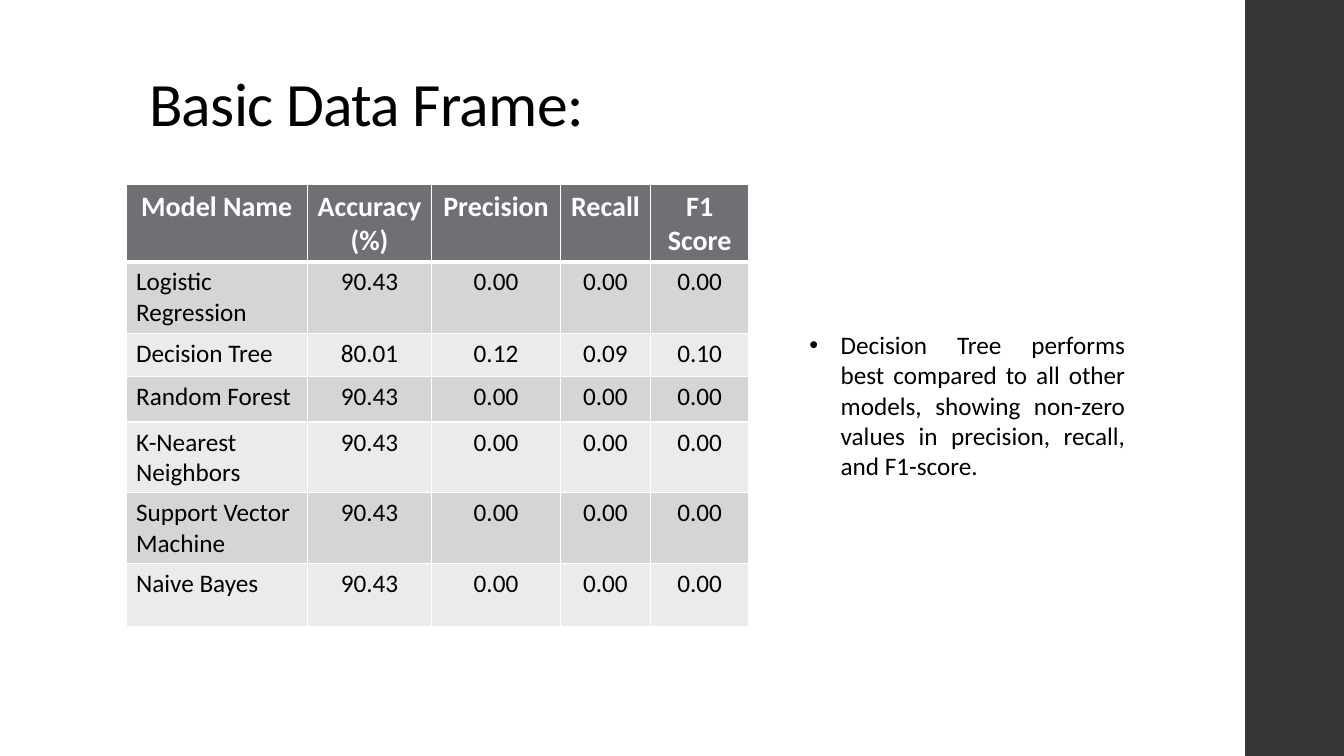
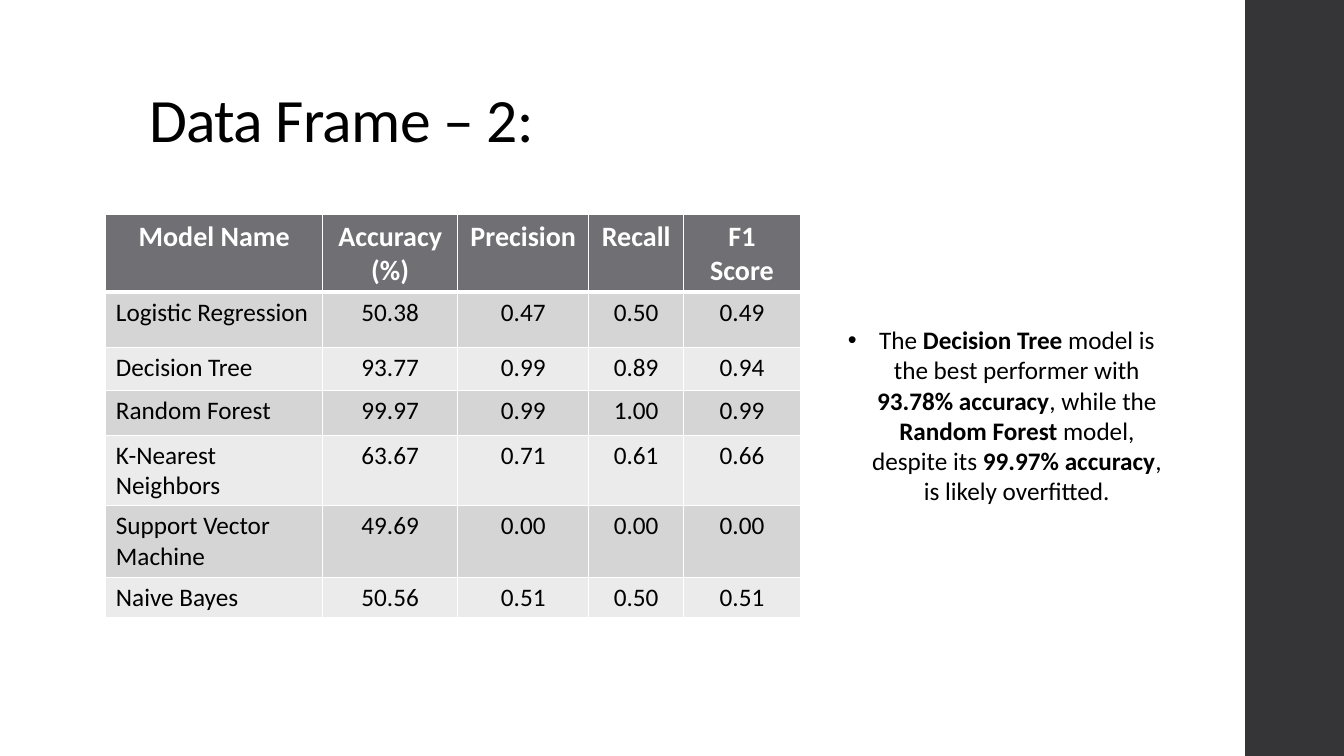
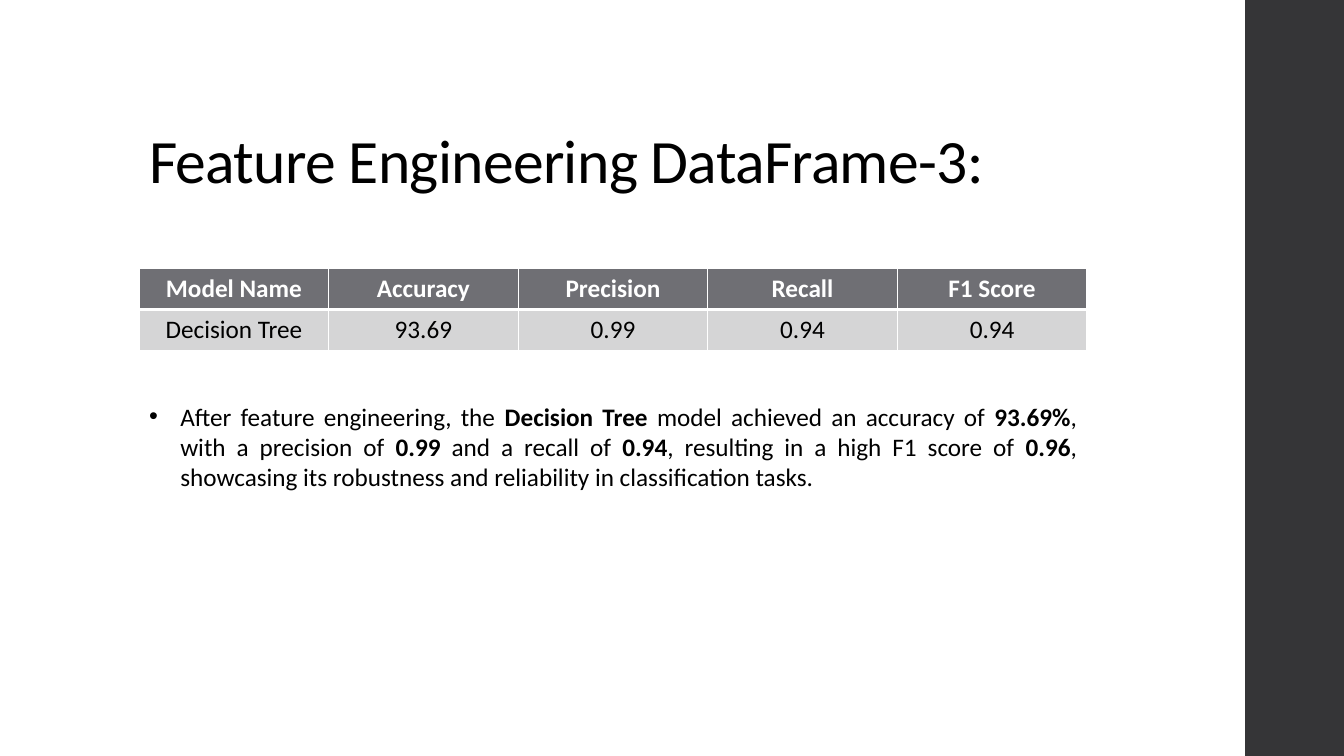
from lxml.etree import SubElement
from pptx import Presentation
from pptx.dml.color import RGBColor
from pptx.enum.shapes import MSO_SHAPE
from pptx.enum.text import MSO_ANCHOR, MSO_AUTO_SIZE, PP_ALIGN
from pptx.oxml.ns import qn
from pptx.util import Inches, Pt

# Shared look
FONT = "Calibri"
BLACK = RGBColor(0x00, 0x00, 0x00)
WHITE = RGBColor(0xFF, 0xFF, 0xFF)
BAND = RGBColor(0x35, 0x35, 0x37)
HEADER = RGBColor(0x6F, 0x6F, 0x74)
ROW_FILLS = (RGBColor(0xD5, 0xD5, 0xD6), RGBColor(0xEB, 0xEB, 0xEB))
PAGE_WIDTH, PAGE_HEIGHT = 13.33, 7.5
BAND_LEFT = 12.35
TITLE_LEFT, TITLE_TOP = 1.38, 0.4
BODY_SIZE = 18
INDENT = 0.31

# Table contents
MODELS = ["Logistic Regression", "Decision Tree", "Random Forest",
          "K-Nearest Neighbors", "Support Vector Machine", "Naive Bayes"]
HEADINGS = ["Model Name", "Accuracy (%)", "Precision", "Recall", "F1 Score"]
NO_HITS = ["90.43", "0.00", "0.00", "0.00"]
BASIC_SCORES = [NO_HITS, ["80.01", "0.12", "0.09", "0.10"]] + [NO_HITS] * 4
SECOND_SCORES = [
    ["50.38", "0.47", "0.50", "0.49"],
    ["93.77", "0.99", "0.89", "0.94"],
    ["99.97", "0.99", "1.00", "0.99"],
    ["63.67", "0.71", "0.61", "0.66"],
    ["49.69", "0.00", "0.00", "0.00"],
    ["50.56", "0.51", "0.50", "0.51"],
]


def style_span(span, size, color=BLACK, bold=False):
    span.font.name = FONT
    span.font.size = Pt(size)
    span.font.color.rgb = color
    span.font.bold = bold


def add_text_box(page, box):
    frame = page.shapes.add_textbox(*map(Inches, box)).text_frame
    frame.word_wrap = True
    return frame


def add_page(deck, title, title_width, title_height):
    """Blank page with the side band and a bottom-anchored title."""
    page = deck.slides.add_slide(deck.slide_layouts[6])
    band = page.shapes.add_shape(
        MSO_SHAPE.RECTANGLE, Inches(BAND_LEFT), 0,
        Inches(PAGE_WIDTH - BAND_LEFT), Inches(PAGE_HEIGHT))
    band.shadow.inherit = False
    band.fill.solid()
    band.fill.fore_color.rgb = BAND
    band.line.fill.background()

    frame = add_text_box(page, (TITLE_LEFT, TITLE_TOP, title_width, title_height))
    frame.vertical_anchor = MSO_ANCHOR.BOTTOM
    para = frame.paragraphs[0]
    para.text = title
    para.line_spacing = 0.9
    span = para.runs[0]
    style_span(span, 44)
    span.font._element.set("spc", "-50")
    return page


def set_borders(cell, top, bottom):
    """White cell borders; top and bottom widths in points."""
    properties = cell._tc.get_or_add_tcPr()
    for side, width in (("L", 1), ("R", 1), ("T", top), ("B", bottom)):
        line = SubElement(properties, qn(f"a:ln{side}"), w=str(Pt(width)))
        fill = SubElement(line, qn("a:solidFill"))
        SubElement(fill, qn("a:srgbClr"), val=str(WHITE))


def add_score_table(page, left, top, widths, heights, rows, header_size, name_align):
    """Score table: a dark header row over alternating grey rows."""
    table = page.shapes.add_table(
        len(rows), len(widths), Inches(left), Inches(top),
        Inches(sum(widths)), Inches(sum(heights))).table
    for column, width in zip(table.columns, widths):
        column.width = Inches(width)
    for r, (values, height) in enumerate(zip(rows, heights)):
        table.rows[r].height = Inches(height)
        is_header = r == 0
        for c, value in enumerate(values):
            cell = table.cell(r, c)
            set_borders(cell, 3 if r == 1 else 1, 3 if is_header else 1)
            cell.fill.solid()
            cell.fill.fore_color.rgb = HEADER if is_header else ROW_FILLS[(r - 1) % 2]
            para = cell.text_frame.paragraphs[0]
            para.text = value
            para.alignment = name_align if c == 0 and not is_header else PP_ALIGN.CENTER
            style_span(para.runs[0], header_size if is_header else BODY_SIZE,
                       WHITE if is_header else BLACK, is_header)


def add_remark(page, box, text, alignment):
    """One bulleted paragraph; words between ** marks are bold."""
    frame = add_text_box(page, box)
    frame.auto_size = MSO_AUTO_SIZE.SHAPE_TO_FIT_TEXT
    para = frame.paragraphs[0]
    para.alignment = alignment
    for i, words in enumerate(text.split("**")):
        span = para.add_run()
        span.text = words
        style_span(span, BODY_SIZE, bold=i % 2 == 1)
    properties = para._p.get_or_add_pPr()
    properties.set("marL", str(Inches(INDENT)))
    properties.set("indent", str(-Inches(INDENT)))
    SubElement(properties, qn("a:buFont"), typeface="Arial")
    SubElement(properties, qn("a:buChar"), char="•")


def model_rows(scores):
    return [HEADINGS] + [[model] + values for model, values in zip(MODELS, scores)]


def build_basic_page(deck):
    page = add_page(deck, "Basic Data Frame:", 10.25, 1.04)
    add_score_table(page, 1.25, 1.83, [1.8, 1.23, 1.28, 0.89, 0.98],
                    [0.74, 0.71, 0.43, 0.45, 0.67, 0.67, 0.63],
                    model_rows(BASIC_SCORES), 20, PP_ALIGN.LEFT)
    add_remark(page, (7.93, 3.22, 3.33, 1.62),
               "Decision Tree performs best compared to all other models, showing "
               "non-zero values in precision, recall, and F1-score.", PP_ALIGN.JUSTIFY)


def build_second_page(deck):
    page = add_page(deck, "Data Frame – 2:", 10.31, 1.2)
    add_score_table(page, 1.05, 2.13, [2.15, 1.34, 1.3, 0.94, 1.16],
                    [0.44, 0.55, 0.43, 0.44, 0.49, 0.71, 0.4],
                    model_rows(SECOND_SCORES), 20, PP_ALIGN.LEFT)
    add_remark(page, (8.17, 3.17, 3.52, 1.92),
               "The **Decision Tree** model is the best performer with "
               "**93.78% accuracy**, while the **Random Forest** model, despite its "
               "**99.97% accuracy**, is likely overfitted.", PP_ALIGN.CENTER)


def build_feature_page(deck):
    page = add_page(deck, "Feature Engineering DataFrame-3:", 10.41, 1.6)
    width = 9.4
    rows = [["Model Name", "Accuracy", "Precision", "Recall", "F1 Score"],
            ["Decision Tree", "93.69", "0.99", "0.94", "0.94"]]
    add_score_table(page, TITLE_LEFT, 2.66, [width / 5] * 5, [0.41] * 2,
                    rows, BODY_SIZE, PP_ALIGN.CENTER)
    add_remark(page, (TITLE_LEFT, 3.93, width, 1.01),
               "After feature engineering, the **Decision Tree** model achieved an "
               "accuracy of **93.69%**, with a precision of **0.99** and a recall of "
               "**0.94**, resulting in a high F1 score of **0.96**, showcasing its "
               "robustness and reliability in classification tasks.", PP_ALIGN.JUSTIFY)


def main():
    deck = Presentation()
    deck.slide_width = Inches(PAGE_WIDTH)
    deck.slide_height = Inches(PAGE_HEIGHT)
    build_basic_page(deck)
    build_second_page(deck)
    build_feature_page(deck)
    deck.save("out.pptx")


if __name__ == "__main__":
    main()
